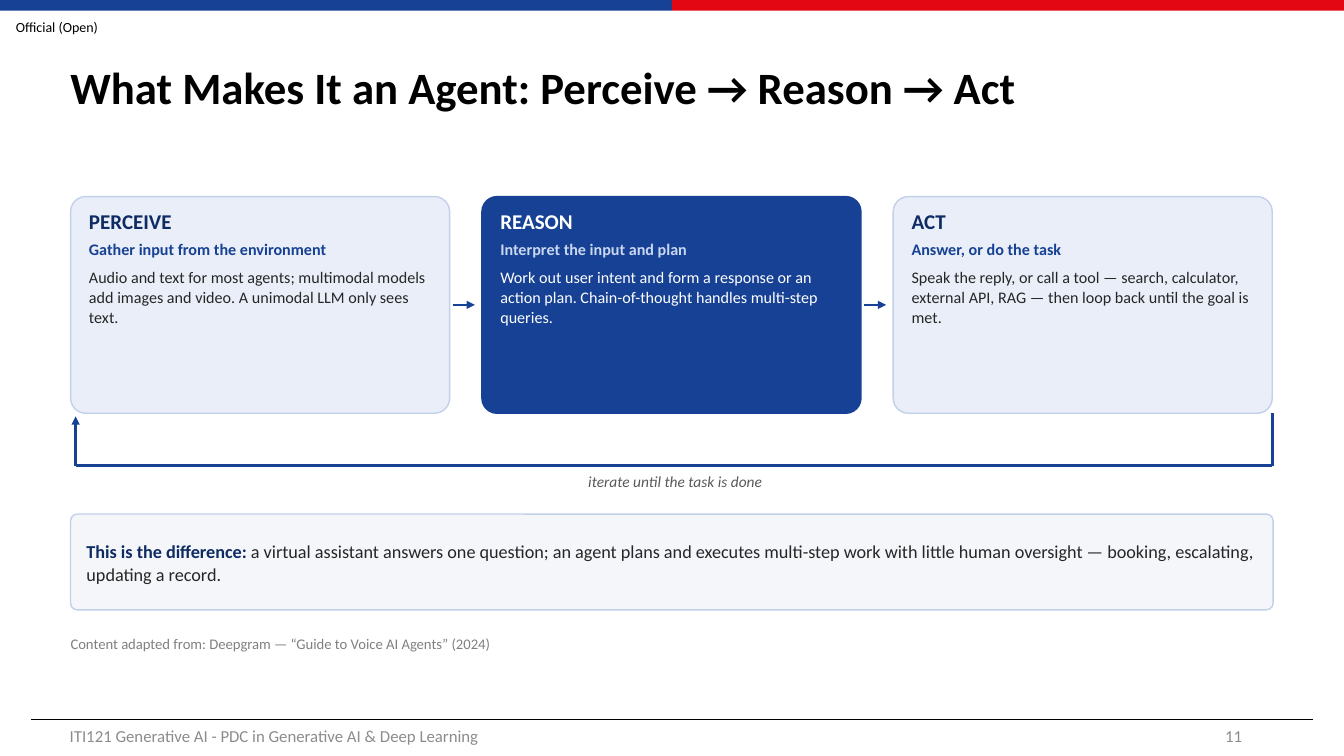
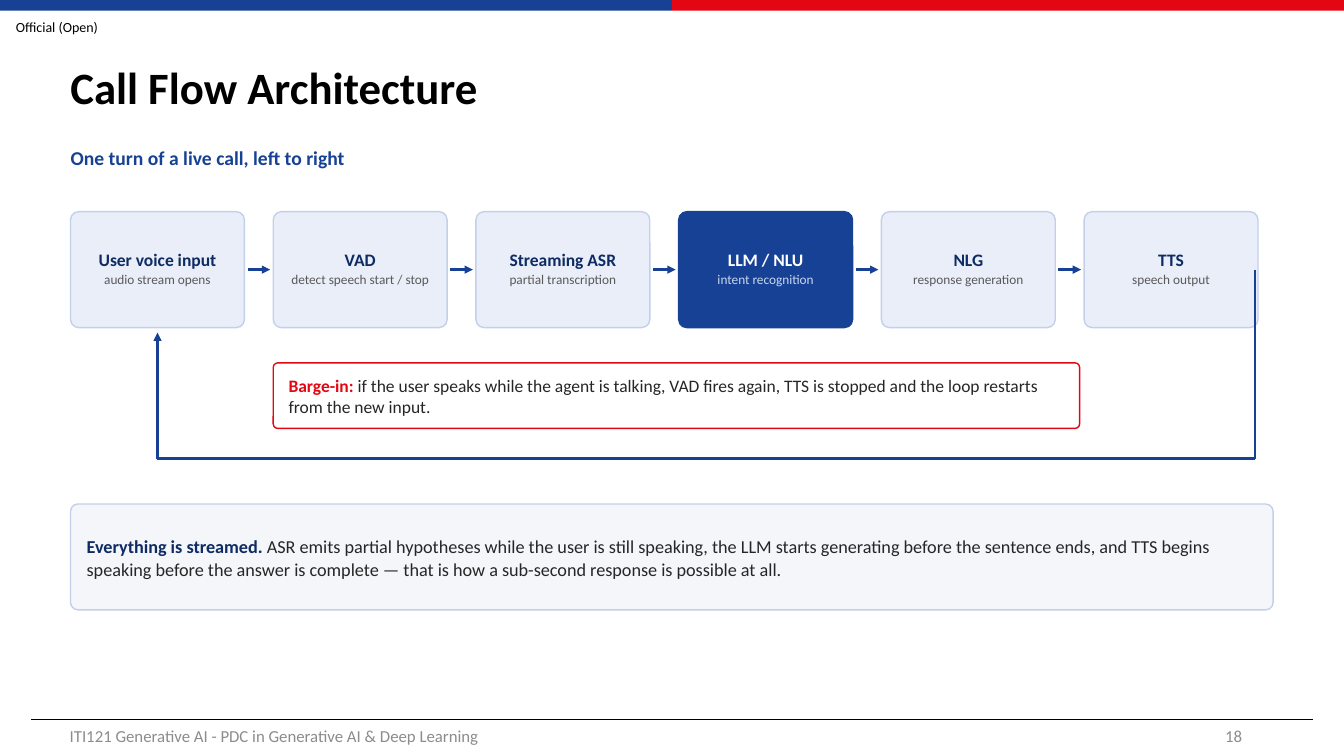
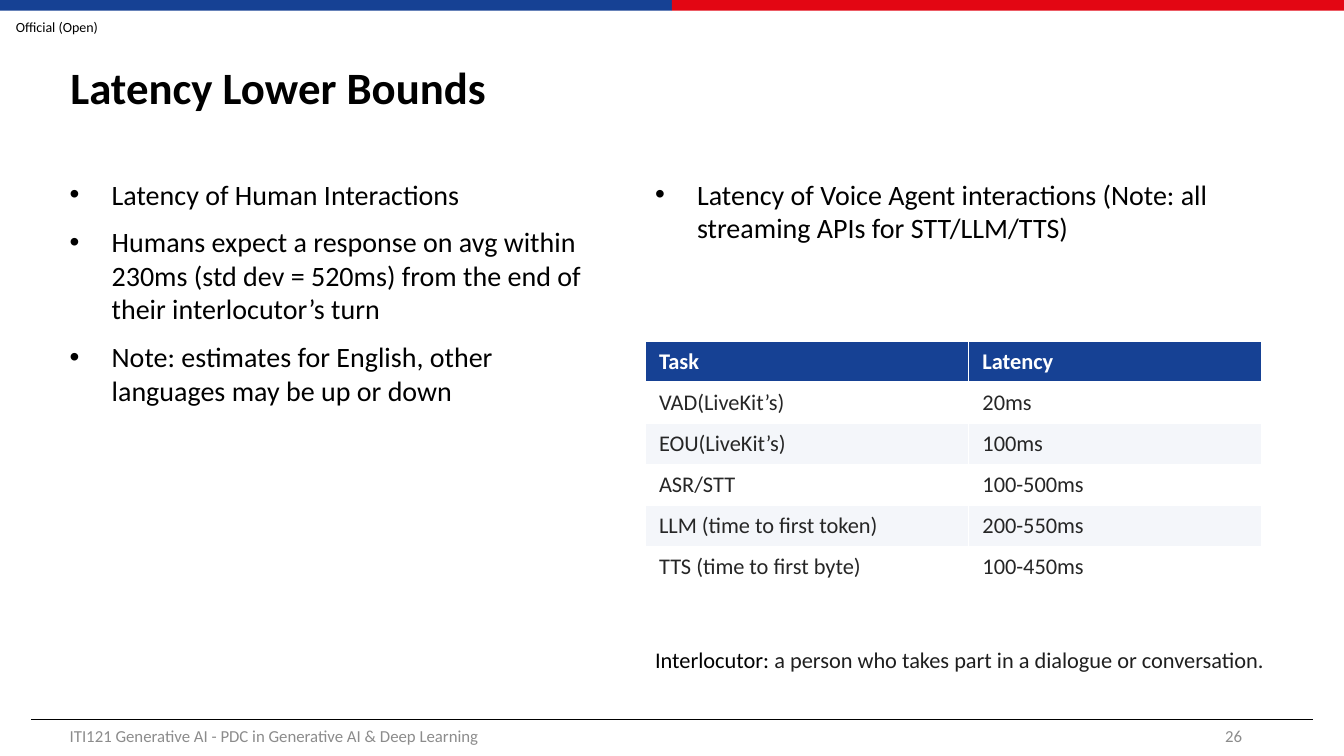
from lxml import etree
from pptx import Presentation
from pptx.enum import shapes, text
from pptx.dml.color import RGBColor
from pptx.oxml import ns
from pptx.util import Pt

FONT = "Calibri"
HEX = {
    "black": "000000", "white": "FFFFFF", "blue": "164194", "red": "E30613",
    "navy": "0E2B63", "pale": "E9EEF8", "edge": "C3D0EA", "ice": "C9D7F0",
    "mist": "F4F6FA", "ink": "262626", "dark": "1F1F1F", "mid": "595959",
    "note": "808080", "foot": "8C8C8C",
}
LEFT, WIDE = 50.4, 859
PAD = (10, 6.5, 10, 6.5)
MID = text.MSO_ANCHOR.MIDDLE
TOP = text.MSO_ANCHOR.TOP
CENTER = text.PP_ALIGN.CENTER
RIGHT = text.PP_ALIGN.RIGHT


def rgb(name):
    return RGBColor.from_string(HEX[name])


def sub(node, tag, **attrs):
    return etree.SubElement(node, ns.qn(tag), attrs)


# Text
def style(font, size=None, color=None, bold=None, italic=None):
    if size:
        font.name, font.size = FONT, Pt(size)
    if color:
        font.color.rgb = rgb(color)
    if bold is not None:
        font.bold = bold
    if italic is not None:
        font.italic = italic


def para(words, size, color="black", bold=False, italic=False, **more):
    """Describe a paragraph; words is a string or (text, color, bold) runs."""
    return dict(words=words, size=size, color=color, bold=bold,
                italic=italic, **more)


def fill_text(frame, paras, pad, anchor=TOP):
    frame.word_wrap = True
    frame.vertical_anchor = anchor
    (frame.margin_left, frame.margin_top,
     frame.margin_right, frame.margin_bottom) = map(Pt, pad)
    for i, item in enumerate(paras):
        p = frame.add_paragraph() if i else frame.paragraphs[0]
        p.alignment = item.get("align", text.PP_ALIGN.LEFT)
        p.line_spacing = item.get("line", 1.0)
        p.space_before = Pt(item.get("before", 0) if i else 0)
        p.space_after = Pt(item.get("after", 0))
        if "hang" in item:
            props = p._p.get_or_add_pPr()
            step = Pt(item["hang"])
            props.set("marL", str(step))
            props.set("indent", str(-step))
            sub(props, "a:buFont", typeface="Arial")
            sub(props, "a:buChar", char="•")
        if isinstance(item["words"], str):
            p.add_run().text = item["words"]
            style(p.font, item["size"], item["color"], item["bold"],
                  item["italic"])
        else:
            style(p.font, item["size"])
            for words, color, bold in item["words"]:
                run = p.add_run()
                run.text = words
                style(run.font, color=color, bold=bold)


def label(slide, box, *paras, pad=(0, 0, 0, 0), anchor=TOP):
    shape = slide.shapes.add_textbox(*map(Pt, box))
    fill_text(shape.text_frame, paras, pad, anchor)


# Shapes and lines
def block(slide, box, fill, edge=None, kind="RECTANGLE"):
    shape = slide.shapes.add_shape(
        getattr(shapes.MSO_SHAPE, kind), *map(Pt, box))
    shape.shadow.inherit = False
    shape.fill.solid()
    shape.fill.fore_color.rgb = rgb(fill)
    if edge:
        shape.line.color.rgb = rgb(edge)
        shape.line.width = Pt(1)
    else:
        shape.line.fill.background()
    return shape


def card(slide, box, fill, edge, *paras, anchor=MID):
    shape = block(slide, box, fill, edge, "ROUNDED_RECTANGLE")
    shape.adjustments[0] = 0.07
    fill_text(shape.text_frame, paras, PAD, anchor)


def line(slide, start, end, color="blue", width=1.75, head=False):
    link = slide.shapes.add_connector(
        shapes.MSO_CONNECTOR.STRAIGHT, *map(Pt, (*start, *end)))
    link.line.color.rgb = rgb(color)
    link.line.width = Pt(width)
    if head:
        sub(link.line._get_or_add_ln(), "a:tailEnd", type="triangle")
    sub(link._element.spPr, "a:effectLst")


def loop(slide, *points):
    """Join the points by lines, with an arrowhead on the last."""
    last = len(points) - 2
    for i, pair in enumerate(zip(points, points[1:])):
        line(slide, *pair, head=i == last)


def callout(slide, top, high, lead, rest):
    card(slide, (LEFT, top, WIDE, high), "mist", "edge",
         para([(lead, "navy", True), (rest, "ink", False)], 13, line=1.05))


# Table
def border(cell, side, width):
    ln = sub(cell._tc.get_or_add_tcPr(), f"a:ln{side}", w=str(Pt(width)))
    sub(sub(ln, "a:solidFill"), "a:srgbClr", val=HEX["white"])


def table(slide, left, top, cols, high, rows):
    frame = slide.shapes.add_table(
        len(rows), len(cols), Pt(left), Pt(top), Pt(sum(cols)),
        Pt(high * len(rows)))
    grid = frame.table
    grid.horz_banding = False
    for col, wide in zip(grid.columns, cols):
        col.width = Pt(wide)
    for r, row in enumerate(rows):
        grid.rows[r].height = Pt(high)
        for c, words in enumerate(row):
            cell = grid.cell(r, c)
            for side in "LRTB":
                border(cell, side, 3 if (r, side) == (0, "B") else 1)
            cell.fill.solid()
            cell.fill.fore_color.rgb = rgb(
                "mist" if r and r % 2 == 0 else "white" if r else "blue")
            fill_text(cell.text_frame,
                      [para(words, 16, "ink" if r else "white", r == 0)],
                      (10, 3.6, 10, 3.6))
            cell.vertical_anchor = MID
            (cell.margin_left, cell.margin_top, cell.margin_right,
             cell.margin_bottom) = map(Pt, (10, 3.6, 10, 3.6))


# Shared frame of every slide
def page(deck, title, number):
    slide = deck.slides.add_slide(deck.slide_layouts[6])
    pad = (7.2, 3.6, 7.2, 3.6)
    label(slide, (0, 9, 81.4, 21),
          para("Official (Open)", 10, align=CENTER), anchor=MID)
    for i, color in enumerate(("blue", "red")):
        block(slide, (480 * i, 0, 480, 7.7), color)
    line(slide, (22.3, 514), (938, 514), "black", 0.5)
    label(slide, (43.2, 21.6, 870, 85), para(title, 32, bold=True, line=0.9),
          pad=pad, anchor=MID)
    label(slide, (42.7, 511.5, 324, 28.8),
          para("ITI121 Generative AI - PDC in Generative AI & Deep Learning",
               12, "foot"), pad=pad, anchor=MID)
    label(slide, (678.3, 511.5, 216, 28.8),
          para(str(number), 12, "foot", align=RIGHT), pad=pad, anchor=MID)
    return slide


def tones(strong):
    """Fill, edge and heading colours of a plain or highlighted card."""
    return ("blue", "blue", "white") if strong else ("pale", "edge", "navy")


# Slides
def agent(deck):
    slide = page(deck, "What Makes It an Agent: Perceive → Reason → Act", 11)
    steps = [
        ("PERCEIVE", "Gather input from the environment",
         "Audio and text for most agents; multimodal models add images and "
         "video. A unimodal LLM only sees text."),
        ("REASON", "Interpret the input and plan",
         "Work out user intent and form a response or an action plan. "
         "Chain-of-thought handles multi-step queries."),
        ("ACT", "Answer, or do the task",
         "Speak the reply, or call a tool — search, calculator, external "
         "API, RAG — then loop back until the goal is met."),
    ]
    top, wide, high, pitch = 140.4, 270.8, 154.8, 293.8
    for i, (name, gist, body) in enumerate(steps):
        x, strong = LEFT + i * pitch, i == 1
        fill, edge, head = tones(strong)
        card(slide, (x, top, wide, high), fill, edge,
             para(name, 15, head, True, line=0.95, after=4),
             para(gist, 11.5, "ice" if strong else "blue", True, after=6),
             para(body, 11.5, "white" if strong else "ink", line=1.02),
             anchor=TOP)
        if i:
            y = top + high / 2
            line(slide, (x - 20.8, y), (x - 5, y), head=True)
    end, base, low = LEFT + 2 * pitch + wide, top + high, 332.6
    loop(slide, (end, base), (end, low), (54, low), (54, base + 2.2))
    label(slide, (352.8, 337, 259.2, 21.6),
          para("iterate until the task is done", 11, "mid", italic=True,
               align=CENTER))
    callout(slide, 367.2, 68.4, "This is the difference: ",
            "a virtual assistant answers one question; an agent plans and "
            "executes multi-step work with little human oversight — booking, "
            "escalating, updating a record.")
    label(slide, (LEFT, 453.6, WIDE, 21.6),
          para("Content adapted from: Deepgram — “Guide to Voice AI Agents” "
               "(2024)", 10.5, "note"))


def flow(deck):
    slide = page(deck, "Call Flow Architecture", 18)
    label(slide, (LEFT, 104.4, WIDE, 28.8),
          para("One turn of a live call, left to right", 14, "blue", True))
    steps = [
        ("User voice input", "audio stream opens"),
        ("VAD", "detect speech start / stop"),
        ("Streaming ASR", "partial transcription"),
        ("LLM / NLU", "intent recognition"),
        ("NLG", "response generation"),
        ("TTS", "speech output"),
    ]
    top, wide, high, pitch = 151.2, 124.2, 82.8, 144.8
    y = top + high / 2
    for i, (name, gist) in enumerate(steps):
        x, strong = LEFT + i * pitch, i == 3
        fill, edge, head = tones(strong)
        card(slide, (x, top, wide, high), fill, edge,
             para(name, 12.5, head, True, align=CENTER, line=0.9),
             para(gist, 9.5, "ice" if strong else "mid", align=CENTER,
                  line=0.9, before=2))
        if i:
            line(slide, (x - pitch + wide + 2.2, y), (x - 2.2, y), head=True)
    card(slide, (LEFT + pitch, 259.2, 576, 46.8), "white", "red",
         para([("Barge-in: ", "red", True),
               ("if the user speaks while the agent is talking, VAD fires "
                "again, TTS is stopped and the loop restarts from the new "
                "input.", "ink", False)], 12.5))
    end, start, low = 896.4, LEFT + wide / 2, 327.6
    loop(slide, (end, y), (end, low), (start, low), (start, top + high + 3.6))
    callout(slide, 360, 75.6, "Everything is streamed. ",
            "ASR emits partial hypotheses while the user is still speaking, "
            "the LLM starts generating before the sentence ends, and TTS "
            "begins speaking before the answer is complete — that is how a "
            "sub-second response is possible at all.")


def bounds(deck):
    slide = page(deck, "Latency Lower Bounds", 26)
    sides = [
        (42.7, 394.6, [
            "Latency of Human Interactions",
            "Humans expect a response on avg within 230ms (std dev = 520ms) "
            "from the end of their interlocutor’s turn",
            "Note: estimates for English, other languages may be up or down"]),
        (460.8, 433.4, [
            "Latency of Voice Agent interactions (Note: all streaming APIs "
            "for STT/LLM/TTS)"]),
    ]
    pad = (7.2, 3.6, 7.2, 3.6)
    for x, wide, points in sides:
        label(slide, (x, 123, wide, 377),
              *[para(words, 20, hang=30, before=10) for words in points],
              pad=pad)
    table(slide, 460.8, 244, (231, 209.5), 29.3, [
        ("Task", "Latency"),
        ("VAD(LiveKit’s)", "20ms"),
        ("EOU(LiveKit’s)", "100ms"),
        ("ASR/STT", "100-500ms"),
        ("LLM (time to first token)", "200-550ms"),
        ("TTS (time to first byte)", "100-450ms"),
    ])
    label(slide, (460.8, 458, 455, 26.6),
          para([("Interlocutor: ", "black", False),
                ("a person who takes part in a dialogue or conversation.",
                 "dark", False)], 16), pad=pad)


def main():
    deck = Presentation()
    deck.slide_width, deck.slide_height = Pt(960), Pt(540)
    for build in (agent, flow, bounds):
        build(deck)
    deck.save("out.pptx")


if __name__ == "__main__":
    main()
